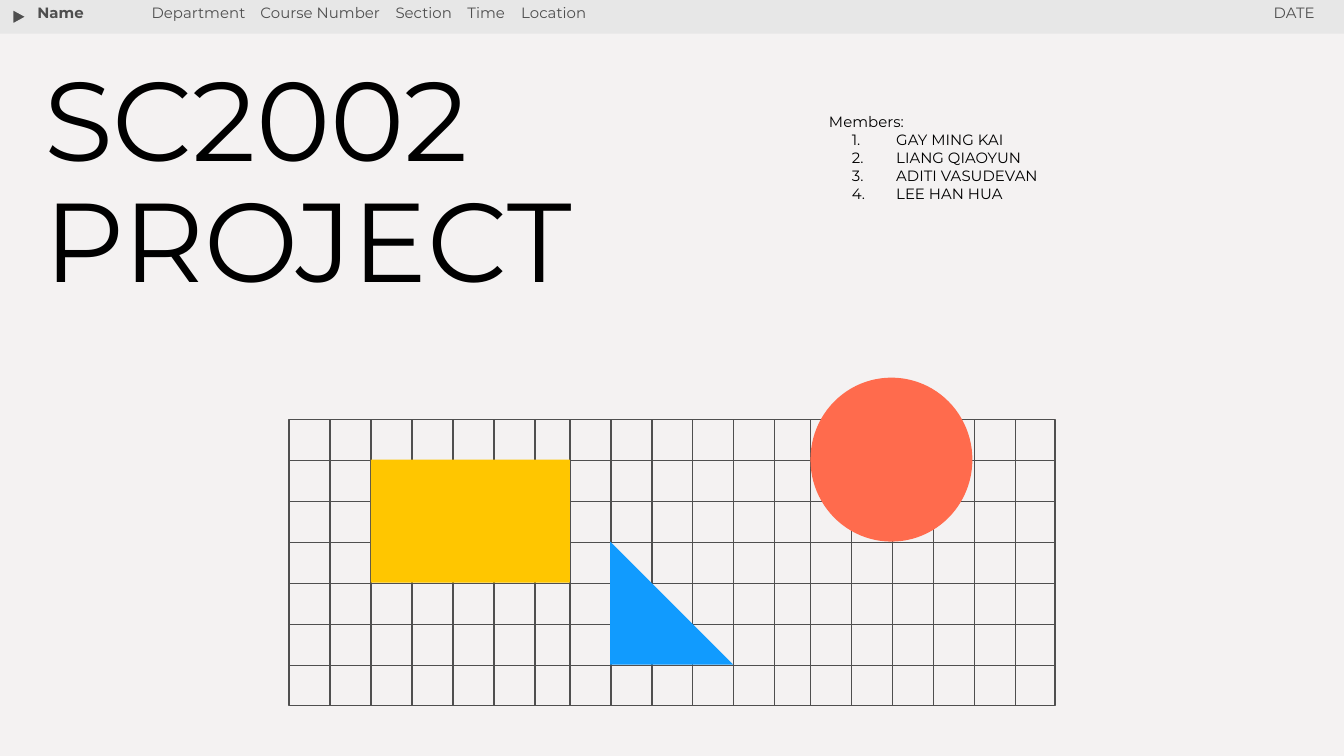
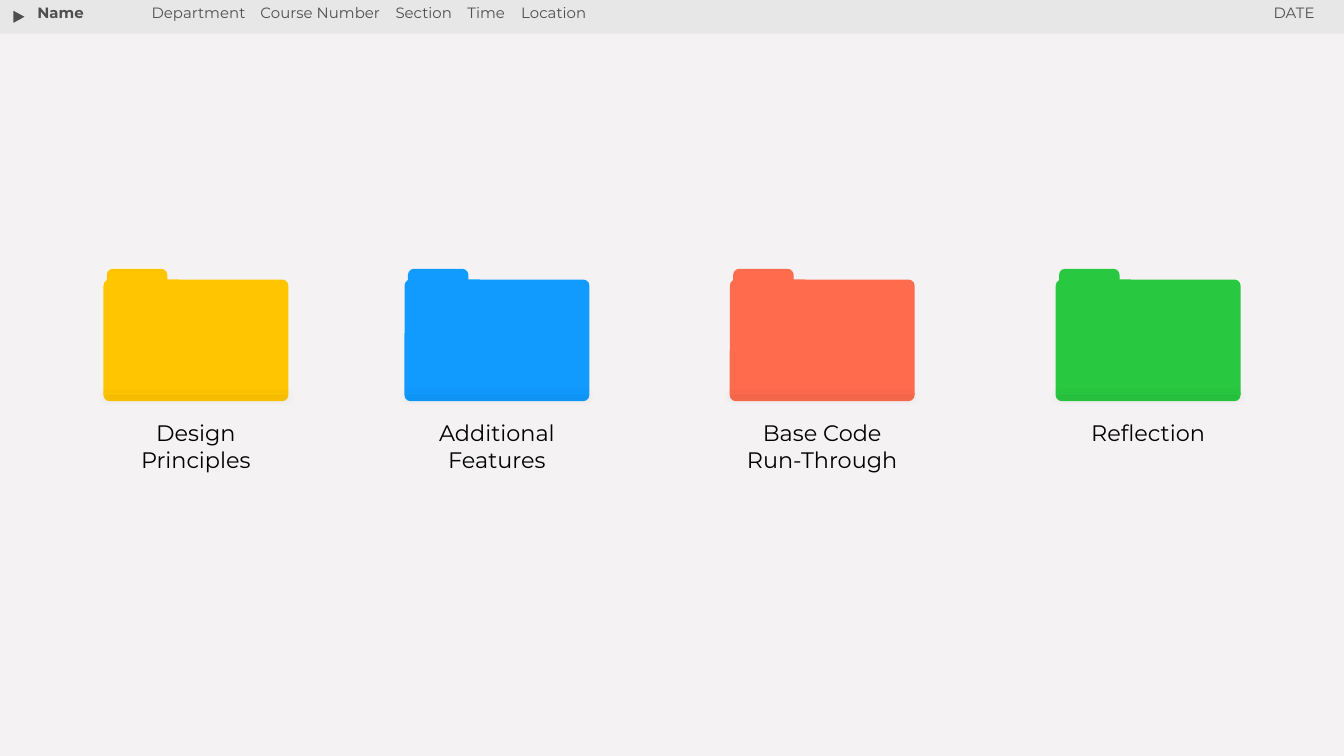
from dataclasses import dataclass
from typing import Any

from lxml.etree import SubElement
from pptx import Presentation
from pptx.dml.color import RGBColor
from pptx.enum.shapes import MSO_CONNECTOR, MSO_SHAPE
from pptx.enum.text import MSO_ANCHOR, MSO_AUTO_SIZE, PP_ALIGN
from pptx.oxml.ns import qn
from pptx.util import Emu, Pt

SCALE = 4572
FONT = "Montserrat"
HUES = {
    "page": "F4F2F2",
    "band": "E7E7E7",
    "gray": "4F4F4F",
    "black": "000000",
    "gold": "FFC600",
    "blue": "119BFE",
    "coral": "FF6B4D",
    "green": "28C840",
}


@dataclass(frozen=True)
class Box:
    left: int
    top: int
    width: int
    height: int


@dataclass(frozen=True)
class Style:
    size: int
    hue: str = "black"
    bold: bool = False
    align: PP_ALIGN = PP_ALIGN.LEFT
    lead: float = 1.0
    grow: bool = False


@dataclass(frozen=True)
class Folder:
    left: int
    hue: str
    label: str
    tall: int = 122


HEAD = Style(8, "gray", grow=True)
STRONG = Style(8, "gray", bold=True, grow=True)
DATE = Style(8, "gray", align=PP_ALIGN.RIGHT, grow=True)
TITLE = Style(60, lead=0.9)
LIST = Style(8)
LABEL = Style(12, align=PP_ALIGN.CENTER, grow=True)

COURSE = ("Department", "Course Number", "Section", "Time", "Location")
STOPS = (162, 363, 470, 550)
TEAM = ("GAY MING KAI", "LIANG QIAOYUN", "ADITI VASUDEVAN", "LEE HAN HUA")

GRID = Box(430, 624, 1140, 426)
CELL = 61
RUNS = ((430, 1, 6), (848, 0, 5), (1206, 0, 5))
FORMS = (
    (MSO_SHAPE.RECTANGLE, Box(552, 684, 296, 183), "gold"),
    (MSO_SHAPE.OVAL, Box(1206, 562, 241, 244), "coral"),
    (MSO_SHAPE.RIGHT_TRIANGLE, Box(908, 806, 183, 183), "blue"),
)
FOLDERS = (
    Folder(154, "gold", "Design\nPrinciples"),
    Folder(602, "blue", "Additional Features"),
    Folder(1086, "coral", "Base Code Run-Through"),
    Folder(1571, "green", "Reflection", 80),
)


def px(value: int) -> Emu:
    return Emu(value * SCALE)


def place(box: Box) -> tuple[Emu, Emu, Emu, Emu]:
    return px(box.left), px(box.top), px(box.width), px(box.height)


def tint(hue: str) -> RGBColor:
    return RGBColor.from_string(HUES[hue])


def draw(home: Any, kind: MSO_SHAPE, box: Box, fill: str = "", line: str = "") -> Any:
    shape = home.shapes.add_shape(kind, *place(box))
    shape.shadow.inherit = False
    if fill:
        shape.fill.solid()
        shape.fill.fore_color.rgb = tint(fill)
    else:
        shape.fill.background()
    if line:
        shape.line.color.rgb = tint(line)
        shape.line.width = Pt(0.75)
    else:
        shape.line.fill.background()
    return shape


def rule(home: Any, start: tuple[int, int], end: tuple[int, int], hue: str) -> Any:
    line = home.shapes.add_connector(
        MSO_CONNECTOR.STRAIGHT, *map(px, start), *map(px, end)
    )
    line.line.color.rgb = tint(hue)
    line.line.width = Pt(0.75)
    return SubElement(line.element.spPr, qn("a:effectLst"))


def write(slide: Any, box: Box, text: str, style: Style) -> Any:
    frame = slide.shapes.add_textbox(*place(box)).text_frame
    frame.word_wrap = True
    frame.vertical_anchor = MSO_ANCHOR.TOP
    frame.auto_size = MSO_AUTO_SIZE.SHAPE_TO_FIT_TEXT if style.grow else MSO_AUTO_SIZE.NONE
    frame.margin_left = frame.margin_right = px(20)
    frame.margin_top = frame.margin_bottom = px(20)
    frame.text = text
    for para in frame.paragraphs:
        para.alignment = style.align
        para.line_spacing = style.lead
        for run in para.runs:
            run.font.name = FONT
            run.font.size = Pt(style.size)
            run.font.bold = style.bold
            run.font.color.rgb = tint(style.hue)
    return frame


def count(para: Any) -> None:
    props = para._p.get_or_add_pPr()
    props.set("marL", str(px(100)))
    props.set("indent", str(px(-66)))
    color = SubElement(props, qn("a:buClr"))
    SubElement(color, qn("a:srgbClr"), val=HUES["black"])
    SubElement(props, qn("a:buFont"), typeface=FONT)
    SubElement(props, qn("a:buAutoNum"), type="arabicPeriod")


def header(slide: Any, date: Box, tall: int) -> None:
    slide.background.fill.solid()
    slide.background.fill.fore_color.rgb = tint("page")
    draw(slide, MSO_SHAPE.RECTANGLE, Box(-2, 0, 2002, 50), "band")
    arrow = draw(slide, MSO_SHAPE.ISOSCELES_TRIANGLE, Box(18, 15, 22, 20), "gray", "band")
    arrow.rotation = 90
    write(slide, date, "DATE", DATE)
    write(slide, Box(36, -8, 256, tall), "Name", STRONG)
    frame = write(slide, Box(206, -8, 834, date.height), "\t".join(COURSE), HEAD)
    tabs = SubElement(frame.paragraphs[0]._p.get_or_add_pPr(), qn("a:tabLst"))
    for stop in STOPS:
        SubElement(tabs, qn("a:tab"), pos=str(px(stop)), algn="l")


def grid(slide: Any) -> None:
    group = slide.shapes.add_group_shape()
    draw(group, MSO_SHAPE.RECTANGLE, GRID, line="gray")
    right, base = GRID.left + GRID.width, GRID.top + GRID.height
    for start, first, last in RUNS:
        for step in range(first, last + 1):
            left = start + step * CELL
            rule(group, (left, GRID.top), (left, base), "gray")
    for step in range(1, 8):
        top = min(GRID.top + step * CELL, base)
        rule(group, (GRID.left, top), (right, top), "gray")
    for kind, box, hue in FORMS:
        draw(group, kind, box, hue)


def folder(slide: Any, item: Folder) -> None:
    group = slide.shapes.add_group_shape()
    tab = draw(group, MSO_SHAPE.ROUND_2_SAME_RECTANGLE, Box(item.left + 5, 400, 90, 18), item.hue)
    tab.adjustments[0] = 0.5
    body = draw(group, MSO_SHAPE.ROUNDED_RECTANGLE, Box(item.left, 416, 275, 181), item.hue)
    body.adjustments[0] = 0.05
    effect = rule(group, (item.left, 586), (item.left + 275, 586), item.hue)
    shade = SubElement(
        effect, qn("a:outerShdw"), blurRad=str(Pt(4.5)), dist=str(Pt(1.5)),
        dir="5400000", algn="bl", rotWithShape="0",
    )
    color = SubElement(shade, qn("a:srgbClr"), val=HUES["black"])
    SubElement(color, qn("a:alpha"), val="30000")
    write(slide, Box(item.left, 604, 275, item.tall), item.label, LABEL)


def cover(slide: Any) -> None:
    header(slide, Box(1726, -8, 250, 68), 74)
    frame = write(slide, Box(1214, 148, 708, 242), "\n".join(("Members:", *TEAM)), LIST)
    for para in frame.paragraphs[1:]:
        count(para)
    write(slide, Box(46, 76, 1168, 438), "SC2002 PROJECT", TITLE)
    grid(slide)


def topics(slide: Any) -> None:
    header(slide, Box(1642, -8, 334, 94), 94)
    for item in FOLDERS:
        folder(slide, item)


def main() -> None:
    deck = Presentation()
    deck.slide_width, deck.slide_height = px(2000), px(1125)
    for build in (cover, topics):
        build(deck.slides.add_slide(deck.slide_layouts[6]))
    deck.save("out.pptx")


if __name__ == "__main__":
    main()
